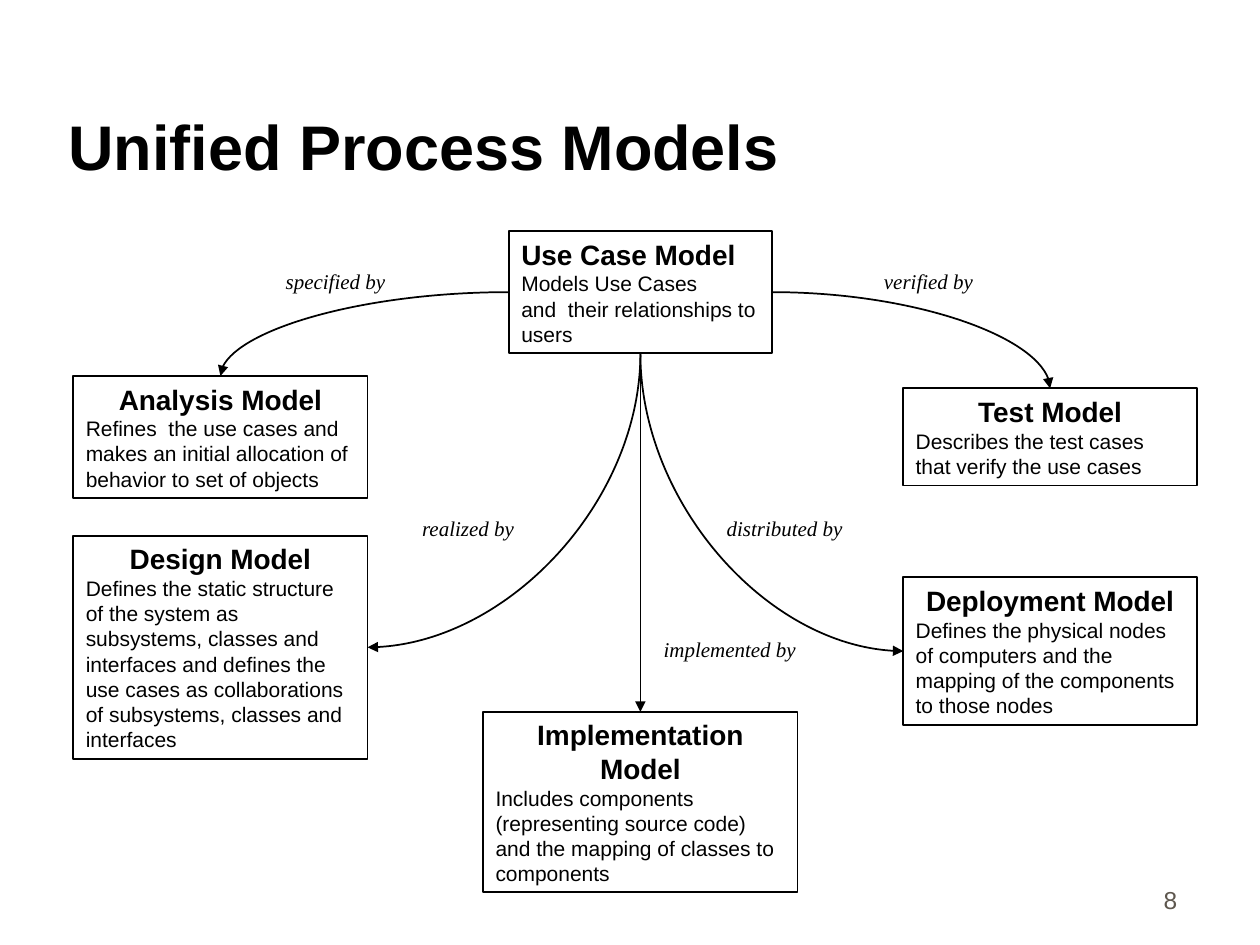
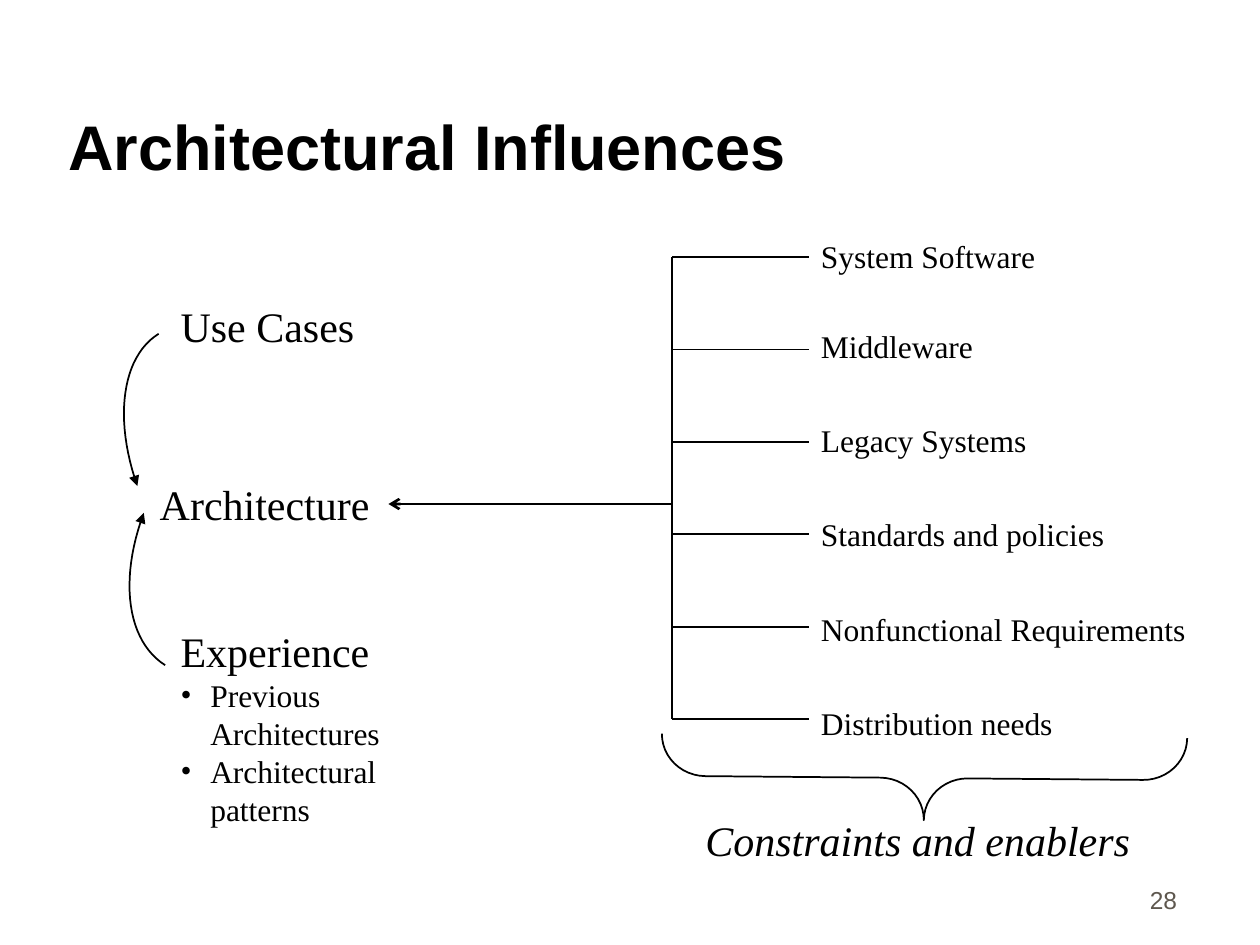
from pptx import Presentation
from pptx.dml.color import RGBColor
from pptx.enum.shapes import MSO_CONNECTOR as Link, MSO_SHAPE as Shape
from pptx.enum.text import MSO_ANCHOR as Anchor, PP_ALIGN as Align
from pptx.oxml.ns import qn
from pptx.util import Cm, Pt
from lxml.etree import SubElement

BLACK, GREY = "000000", "5E574E"
SANS, SERIF = "Arial", "Times New Roman"

# Slide 1: name -> (left, top, width, height), heading alignment, lines
MODELS = {
    "Use Case Model": ((10.26, 4.66, 5.3, 2.46), Align.LEFT,
                       ["Models Use Cases", "and  their relationships to users"]),
    "Analysis Model": ((1.48, 7.58, 5.93, 2.46), Align.CENTER,
                       ["Refines  the use cases and makes an initial allocation of "
                        "behavior to set of objects"]),
    "Design Model": ((1.48, 10.8, 5.93, 4.5), Align.CENTER,
                     ["Defines the static structure of the system as subsystems, "
                      "classes and interfaces and defines the use cases as "
                      "collaborations of subsystems, classes and interfaces"]),
    "Implementation Model": ((9.74, 14.35, 6.34, 3.64), Align.CENTER,
                             ["Includes components (representing source code) and "
                              "the mapping of classes to components"]),
    "Deployment Model": ((18.21, 11.64, 5.92, 2.97), Align.CENTER,
                         ["Defines the physical nodes of computers and the mapping "
                          "of the components to those nodes"]),
    "Test Model": ((18.21, 7.83, 5.92, 1.96), Align.CENTER,
                   ["Describes the test cases that verify the use cases"]),
}
TOP, LEFT, BOTTOM, RIGHT = range(4)
# Curves out of the use case box: side left, model reached, side entered
CURVES = [
    (LEFT, "Analysis Model", TOP),
    (RIGHT, "Test Model", TOP),
    (BOTTOM, "Design Model", RIGHT),
    (BOTTOM, "Deployment Model", LEFT),
]
VERBS = [
    ("specified by", 5.51, 5.28, 2.7),
    ("verified by", 17.57, 5.28, 2.5),
    ("realized by", 8.26, 10.26, 2.55),
    ("distributed by", 14.4, 10.26, 3.05),
    ("implemented by", 13.13, 12.7, 3.4),
]

# Slide 2: constraint, top and width of its label
LIMITS = [
    ("System Software", 4.65, 5),
    ("Middleware", 6.47, 3.8),
    ("Legacy Systems", 8.36, 4.85),
    ("Standards and policies", 10.26, 6.4),
    ("Nonfunctional Requirements", 12.17, 8.1),
    ("Distribution needs", 14.07, 5.4),
]
SPINE, TWIG, FIRST, LAST = 13.55, 16.3, 5.18, 14.5
TERMS = [
    ("Use Cases", 3.39, 5.93, 4.25),
    ("Architecture", 2.97, 9.53, 5),
    ("Experience", 3.39, 12.49, 4.7),
]
SOURCES = ["Previous Architectures", "Architectural patterns"]
# Start, two control points and end of each arc into Architecture
ARCS = [
    [(3.2, 6.73), (2.46, 7.19), (2.29, 8.43), (2.77, 9.8)],
    [(3.33, 13.41), (2.57, 12.93), (2.39, 11.71), (2.9, 10.34)],
]


def rgb(code):
    return RGBColor.from_string(code)


def style(para, size, face=SANS, color=BLACK, bold=False, italic=False):
    font = para.font
    font.name, font.size, font.bold, font.italic = face, Pt(size), bold, italic
    font.color.rgb = rgb(color)


def ink(item, width=1, head=None):
    """Line colour and width, with an optional arrowhead at the end."""
    item.line.color.rgb = rgb(BLACK)
    item.line.width = Pt(width)
    if head:
        line = item._element.spPr.find(qn("a:ln"))
        SubElement(line, qn("a:tailEnd"), type=head)


def plain(shape, head=None):
    shape.shadow.inherit = False
    shape.fill.background()
    ink(shape, head=head)


def write(slide, text, left, top, width, height, size, wrap=False,
          anchor=Anchor.TOP, align=Align.LEFT, **look):
    box = slide.shapes.add_textbox(Cm(left), Cm(top), Cm(width), Cm(height))
    frame = box.text_frame
    frame.word_wrap, frame.vertical_anchor = wrap, anchor
    para = frame.paragraphs[0]
    para.text, para.alignment = text, align
    style(para, size, **look)
    return frame


def join(slide, start, end, kind=Link.STRAIGHT, width=1, head=None):
    link = slide.shapes.add_connector(kind, *map(Cm, start + end))
    ink(link, width, head)
    SubElement(link._element.spPr, qn("a:effectLst"))
    return link


def bend(slide, start, end, down):
    """Quarter curve; one that starts downwards is a turned quarter."""
    (x1, y1), (x2, y2) = start, end
    wide, high = abs(x2 - x1), y2 - y1
    sign = 1 if x2 > x1 else -1
    if down:
        mid_x, mid_y = (x1 + x2) / 2, (y1 + y2) / 2
        start = (mid_x + sign * high / 2, mid_y - wide / 2)
        end = (mid_x - sign * high / 2, mid_y + wide / 2)
    link = join(slide, start, end, Link.CURVE, head="triangle")
    props = link._element.spPr
    props.find(qn("a:prstGeom")).set("prst", "curvedConnector2")
    if down:
        turn = 270 if sign > 0 else 90
        props.find(qn("a:xfrm")).set("rot", str(turn * 60000))


def middle(name, side):
    left, top, width, height = MODELS[name][0]
    return {TOP: (left + width / 2, top),
            LEFT: (left, top + height / 2),
            BOTTOM: (left + width / 2, top + height),
            RIGHT: (left + width, top + height / 2)}[side]


def arc(slide, points, steps=24):
    """Smooth open line along a cubic curve."""
    spots = []
    for i in range(steps + 1):
        t = i / steps
        parts = ((1 - t) ** 3, 3 * t * (1 - t) ** 2, 3 * t * t * (1 - t), t ** 3)
        spots.append(tuple(Cm(sum(p * pt[axis] for p, pt in zip(parts, points)))
                           for axis in (0, 1)))
    pen = slide.shapes.build_freeform(*spots[0])
    pen.add_line_segments(spots[1:], close=False)
    plain(pen.convert_to_shape(), head="triangle")


def bullet(para):
    props = para._p.get_or_add_pPr()
    props.set("marL", str(Cm(0.6)))
    props.set("indent", str(-Cm(0.6)))
    SubElement(props, qn("a:buFont"), typeface=SERIF)
    SubElement(props, qn("a:buChar"), char="•")


def page(deck, title, number):
    slide = deck.slides.add_slide(deck.slide_layouts[6])
    write(slide, title, 1.13, 0.64, 21.59, 3.18, 36, wrap=True,
          anchor=Anchor.BOTTOM, bold=True)
    write(slide, str(number), 18.7, 17.28, 5.28, 1.27, 14, wrap=True,
          anchor=Anchor.BOTTOM, align=Align.RIGHT, color=GREY)
    return slide


def models(deck):
    slide = page(deck, "Unified Process Models", 8)
    # Model boxes
    boxes = {}
    for name, (place, align, lines) in MODELS.items():
        box = slide.shapes.add_shape(Shape.RECTANGLE, *map(Cm, place))
        plain(box)
        frame = box.text_frame
        frame.word_wrap, frame.vertical_anchor = True, Anchor.TOP
        head = frame.paragraphs[0]
        head.text, head.alignment = name, align
        style(head, 16, bold=True)
        for line in lines:
            para = frame.add_paragraph()
            para.text, para.alignment = line, Align.LEFT
            style(para, 12)
        boxes[name] = box
    # Arrows and their verbs
    hub, goal = "Use Case Model", "Implementation Model"
    for side, name, entry in CURVES:
        bend(slide, middle(hub, side), middle(name, entry), side == BOTTOM)
    link = join(slide, middle(hub, BOTTOM), middle(goal, TOP), head="triangle")
    link.begin_connect(boxes[hub], BOTTOM)
    link.end_connect(boxes[goal], TOP)
    for text, left, top, width in VERBS:
        write(slide, text, left, top, width, 0.76, 12, face=SERIF, italic=True)


def influences(deck):
    slide = page(deck, "Architectural Influences", 28)
    # Comb of constraints
    join(slide, (SPINE, FIRST), (SPINE, LAST))
    gap = (LAST - FIRST) / (len(LIMITS) - 1)
    for i, (text, top, width) in enumerate(LIMITS):
        y = FIRST + i * gap
        join(slide, (SPINE, y), (TWIG, y))
        write(slide, text, TWIG, top, width, 1.02, 18, face=SERIF)
    join(slide, (SPINE, 10.16), (7.83, 10.16), width=1.5, head="arrow")
    # Terms on the left; the last one carries the bullets
    for text, left, top, width in TERMS:
        frame = write(slide, text, left, top, width, 1.27, 24, face=SERIF,
                      wrap=text == "Experience")
    for text in SOURCES:
        para = frame.add_paragraph()
        para.text = text
        bullet(para)
        style(para, 18, SERIF)
    for points in ARCS:
        arc(slide, points)
    # Brace and its caption
    brace = slide.shapes.add_shape(Shape.RIGHT_BRACE, Cm(17.78), Cm(10.39),
                                   Cm(1.7), Cm(10.59))
    brace.adjustments[0] = 0.52
    brace.rotation = 90.5
    plain(brace)
    write(slide, "Constraints and enablers", 13.97, 16.3, 9.4, 1.27, 24,
          face=SERIF, italic=True)


def main():
    deck = Presentation()
    deck.slide_width, deck.slide_height = Cm(25.4), Cm(19.05)
    models(deck)
    influences(deck)
    deck.save("out.pptx")


if __name__ == "__main__":
    main()
